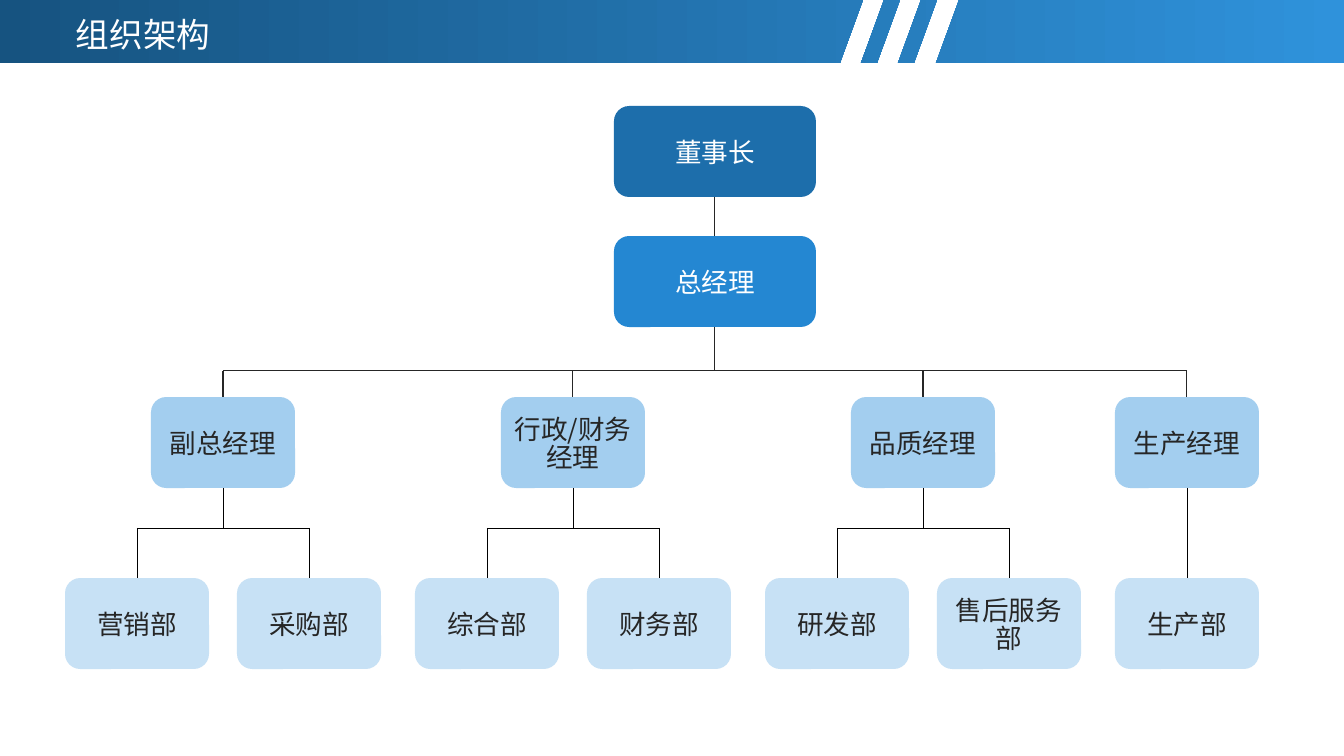
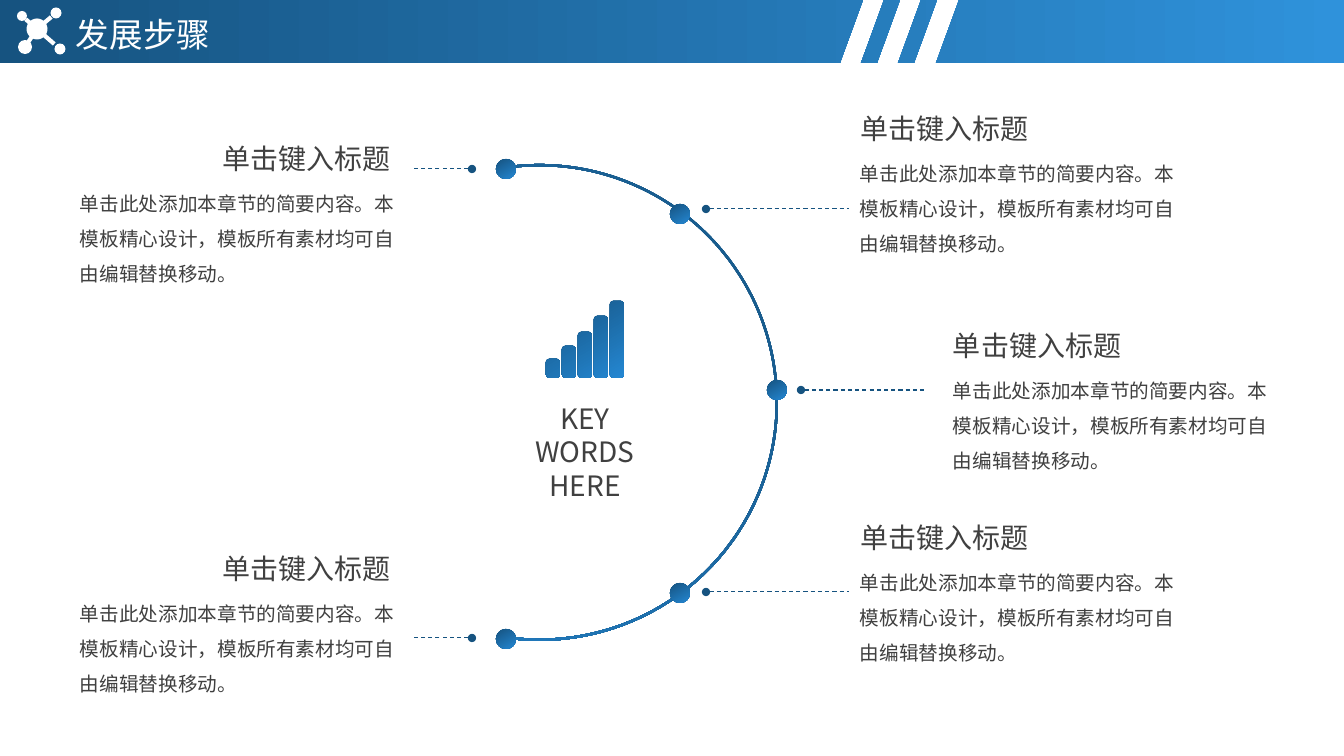
import math
from dataclasses import dataclass

from lxml import etree
from pptx import Presentation
from pptx import util as u
from pptx.dml.color import RGBColor
from pptx.enum import dml, shapes, text
from pptx.oxml.ns import qn

WIDTH, HEIGHT = 1344, 756
PX = 12192000 / WIDTH  # EMU in one px


@dataclass(frozen=True)
class Theme:
    font: str = "Noto Sans CJK SC"
    white: str = "FFFFFF"
    ink: str = "262626"
    gray: str = "404040"
    black: str = "000000"
    navy: str = "165380"
    deep: str = "1D6EAB"
    blue: str = "2487D2"
    bright: str = "2F92DB"
    sky: str = "A3CEEF"
    pale: str = "C7E1F5"
    # Type styles: size and line pitch in points
    header: tuple = (24, 28)
    heading: tuple = (20, 24)
    label: tuple = (19, 20)
    body: tuple = (14, 25.2)


THEME = Theme()
LEFT, CENTER, RIGHT = text.PP_ALIGN.LEFT, text.PP_ALIGN.CENTER, text.PP_ALIGN.RIGHT
TOP, BOTTOM = 0, 2  # connection sites


def emu(px):
    return u.Emu(round(px * PX))


def rgb(value):
    return RGBColor.from_string(value)


class Painter:
    """Holds the deck, the theme and the current page."""

    def __init__(self, theme):
        self.theme = theme
        self.deck = Presentation()
        self.deck.slide_width, self.deck.slide_height = emu(WIDTH), emu(HEIGHT)
        self.page = None

    def new_page(self, title):
        self.page = self.deck.slides.add_slide(self.deck.slide_layouts[6])
        self.band()
        self.label(title, 76, 15, 200, 39, self.theme.header, self.theme.white)

    def band(self):
        """Header band cut by three slanted gaps."""
        height, slant = 63, 23
        pieces = []
        for start, end in [(0, 863), (884, 900), (921, 937), (959, WIDTH)]:
            low_start = start - slant if start else 0
            low_end = end - slant if end < WIDTH else end
            pieces.append([(start, 0), (end, 0), (low_end, height), (low_start, height)])
        self.outline(pieces, (self.theme.bright, self.theme.navy), 180)

    def paint(self, shape, fill, angle=300):
        """Fill with one colour, or with a gradient for a pair of colours."""
        shape.shadow.inherit = False
        shape.line.fill.background()
        if isinstance(fill, str):
            shape.fill.solid()
            shape.fill.fore_color.rgb = rgb(fill)
        else:
            shape.fill.gradient()
            shape.fill.gradient_angle = angle
            for stop, color in zip(shape.fill.gradient_stops, fill):
                stop.color.rgb = rgb(color)
        return shape

    def outline(self, contours, fill, angle=300):
        builder = self.page.shapes.build_freeform(*contours[0][0], scale=PX)
        for index, points in enumerate(contours):
            if index:
                builder.move_to(*points[0])
            builder.add_line_segments(points[1:], close=True)
        return self.paint(builder.convert_to_shape(), fill, angle)

    def shape(self, kind, x, y, w, h, fill):
        shape = self.page.shapes.add_shape(kind, emu(x), emu(y), emu(w), emu(h))
        return self.paint(shape, fill)

    def dot(self, x, y, size, fill):
        return self.shape(shapes.MSO_SHAPE.OVAL, x - size / 2, y - size / 2, size, size, fill)

    def set_text(self, frame, words, style, color, align):
        frame.word_wrap = True
        para = frame.paragraphs[0]
        para.text = words
        para.alignment = align
        para.line_spacing = u.Pt(style[1])
        for span in para.runs:
            span.font.size = u.Pt(style[0])
            span.font.color.rgb = rgb(color)
            span.font.name = self.theme.font
            east = etree.SubElement(span._r.get_or_add_rPr(), qn("a:ea"))
            east.set("typeface", self.theme.font)

    def label(self, words, x, y, w, h, style, color, align=LEFT):
        box = self.page.shapes.add_textbox(emu(x), emu(y), emu(w), emu(h))
        frame = box.text_frame
        frame.margin_left = frame.margin_right = frame.margin_top = frame.margin_bottom = 0
        self.set_text(frame, words, style, color, align)

    def card(self, words, middle, y, w, fill, color):
        """Rounded box of the chart, centred on the given x."""
        kind = shapes.MSO_SHAPE.ROUNDED_RECTANGLE
        box = self.shape(kind, middle - w / 2, y, w, 91, fill)
        frame = box.text_frame
        frame.vertical_anchor = text.MSO_ANCHOR.MIDDLE
        frame.margin_left = frame.margin_right = emu(2)
        frame.margin_top, frame.margin_bottom = emu(6), emu(1)
        self.set_text(frame, words, self.theme.label, color, CENTER)
        return box

    def line(self, start, end, color, width, above=None, below=None, leader=False):
        """Straight line, joined to the box above or below it if given."""
        line = self.page.shapes.add_connector(
            shapes.MSO_CONNECTOR.STRAIGHT, *map(emu, start), *map(emu, end))
        if above is not None:
            line.begin_connect(above, BOTTOM)
        if below is not None:
            line.end_connect(below, TOP)
        line.line.color.rgb = rgb(color)
        line.line.width = u.Pt(width)
        if leader:
            line.line.dash_style = dml.MSO_LINE.DASH
            head = etree.SubElement(line.line._get_or_add_ln(), qn("a:headEnd"))
            head.set("type", "oval")
        etree.SubElement(line._element.spPr, qn("a:effectLst"))
        return line


def organisation(painter):
    theme = painter.theme
    painter.new_page("组织架构")
    axis, manager_y, department_y = 715, 397, 578
    upper_bus, lower_bus, spread = 371, 528, 86
    branches = [
        (223, "副总经理", ["营销部", "采购部"]),
        (573, "行政/财务经理", ["综合部", "财务部"]),
        (923, "品质经理", ["研发部", "售后服务部"]),
        (1187, "生产经理", ["生产部"]),
    ]

    # Top management
    chairman = painter.card("董事长", axis, 106, 202, theme.deep, theme.white)
    director = painter.card("总经理", axis, 236, 202, theme.blue, theme.white)
    painter.line((axis, 197), (axis, 236), theme.ink, 0.75, chairman, director)
    painter.line((axis, 327), (axis, upper_bus), theme.ink, 0.75, director)
    painter.line((branches[0][0], upper_bus), (branches[-1][0], upper_bus), theme.ink, 0.75)

    # Managers and their departments
    for middle, title, departments in branches:
        manager = painter.card(title, middle, manager_y, 144, theme.sky, theme.ink)
        painter.line((middle, upper_bus), (middle, manager_y), theme.ink, 0.75, below=manager)
        first = middle - spread * (len(departments) - 1)
        centers = [first + 2 * spread * i for i in range(len(departments))]
        cards = [painter.card(name, x, department_y, 144, theme.pale, theme.ink)
                 for name, x in zip(departments, centers)]
        if len(cards) == 1:
            painter.line((middle, 488), (middle, department_y), theme.black, 0.5,
                         manager, cards[0])
            continue
        painter.line((middle, 488), (middle, lower_bus), theme.black, 0.5, manager)
        painter.line((centers[0], lower_bus), (centers[-1], lower_bus), theme.black, 0.5)
        for x, card in zip(centers, cards):
            painter.line((x, lower_bus), (x, department_y), theme.black, 0.5, below=card)


def molecule(painter):
    """White header icon: a hub with four atoms."""
    hub_x, hub_y = 37, 29
    painter.dot(hub_x, hub_y, 21, painter.theme.white)
    for x, y, size in [(22, 16, 10), (56, 13, 11), (25, 47, 14), (60, 49, 11)]:
        painter.dot(x, y, size, painter.theme.white)
        end = (hub_x + 0.75 * (x - hub_x), hub_y + 0.75 * (y - hub_y))
        painter.line((hub_x, hub_y), end, painter.theme.white, 3)


def rounded_bar(left, top, right, bottom, radius=3):
    """Points round a bar, with three points on each corner."""
    corners = [(right - radius, top + radius, 270), (right - radius, bottom - radius, 0),
               (left + radius, bottom - radius, 90), (left + radius, top + radius, 180)]
    return [(x + radius * math.cos(math.radians(start + turn)),
             y + radius * math.sin(math.radians(start + turn)))
            for x, y, start in corners for turn in (0, 45, 90)]


def steps(painter):
    theme = painter.theme
    shade = (theme.navy, theme.blue)
    painter.new_page("发展步骤")
    molecule(painter)

    # Arc with its five stations
    arc = painter.shape(shapes.MSO_SHAPE.BLOCK_ARC, 301, 164, 477, 477, shade)
    arc.rotation = 84
    for index, value in enumerate((108, 7.27, 0.005)):
        arc.adjustments[index] = value
    for x, y in [(506, 169), (680, 214), (777, 390), (680, 593), (506, 639)]:
        painter.dot(x, y, 20, shade)

    # Rising bars and key words
    tops = [359, 346, 332, 316, 301]
    bars = [rounded_bar(546 + 16 * i, top, 560 + 16 * i, 378) for i, top in enumerate(tops)]
    painter.outline(bars, shade)
    painter.label("KEY WORDS HERE", 525, 401, 120, 101, theme.heading, theme.gray, CENTER)

    # Leader, heading and text of each step
    heading = "单击键入标题"
    body = "单击此处添加本章节的简要内容。本模板精心设计，模板所有素材均可自由编辑替换移动。"
    for x, y, align, start, end, level in [
        (80, 141, RIGHT, 472, 414, 169),
        (860, 111, LEFT, 706, 849, 209),
        (953, 328, LEFT, 801, 924, 390),
        (860, 520, LEFT, 706, 849, 592),
        (80, 551, RIGHT, 472, 414, 638),
    ]:
        painter.line((start, level), (end, level), theme.navy, 0.75, leader=True)
        painter.label(heading, x, y, 311, 34, theme.heading, theme.gray, align)
        painter.label(body, x, y + 39, 322, 106, theme.body, theme.gray)


def main():
    painter = Painter(THEME)
    organisation(painter)
    steps(painter)
    painter.deck.save("out.pptx")


if __name__ == "__main__":
    main()
